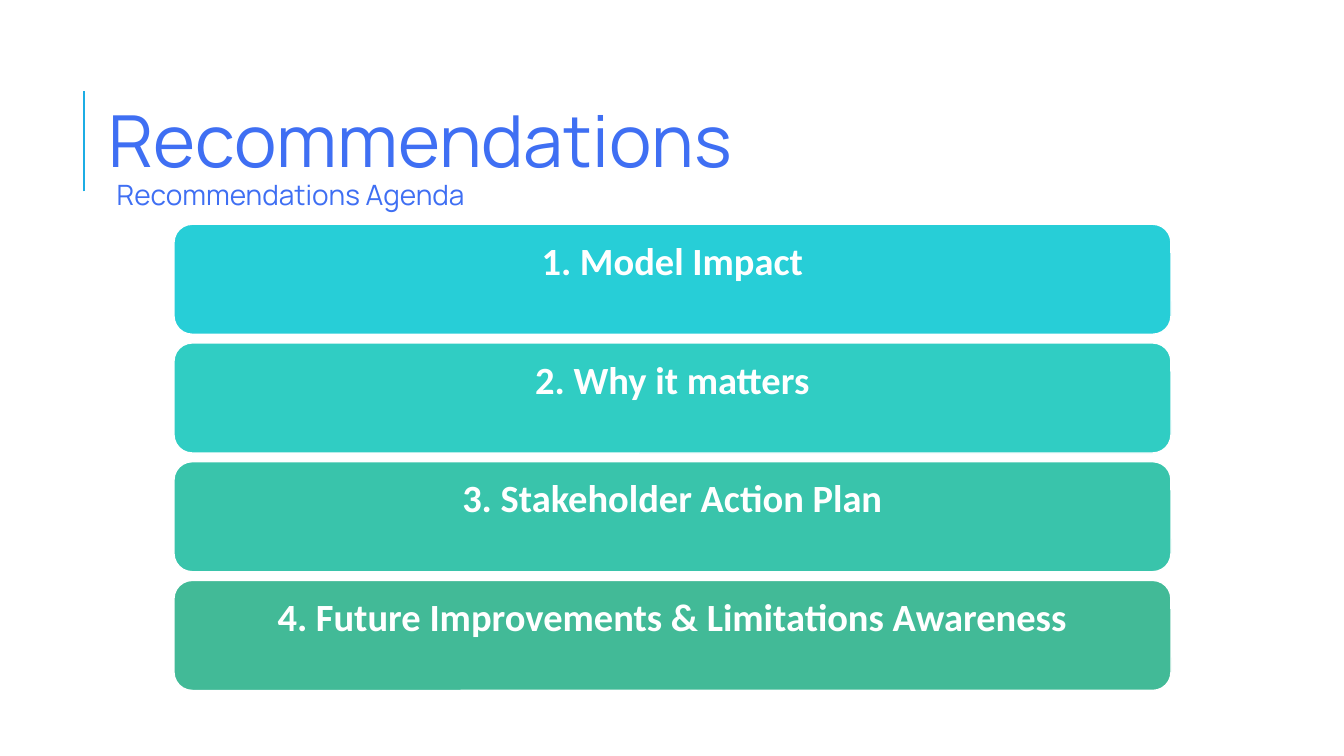
from pptx import Presentation
from pptx.dml.color import RGBColor
from pptx.enum.shapes import MSO_CONNECTOR, MSO_SHAPE
from pptx.enum.text import MSO_ANCHOR, MSO_AUTO_SIZE, PP_ALIGN
from pptx.oxml.ns import qn
from pptx.util import Cm, Pt
from lxml.etree import SubElement

BLUE = RGBColor(0x3F, 0x6F, 0xF3)
SKY = RGBColor(0x1C, 0xAD, 0xE4)
WHITE = RGBColor(0xFF, 0xFF, 0xFF)
TEAL = RGBColor(0x27, 0xCE, 0xD7)
AQUA = RGBColor(0x30, 0xCD, 0xC3)
JADE = RGBColor(0x39, 0xC4, 0xAB)
GREEN = RGBColor(0x42, 0xBA, 0x97)

TOPICS = [
    ("1. Model Impact", TEAL),
    ("2. Why it matters", AQUA),
    ("3. Stakeholder Action Plan", JADE),
    ("4. Future Improvements & Limitations Awareness", GREEN),
]


def put_text(shape, text, size, color, face="Manrope", bold=False,
             align=PP_ALIGN.LEFT, lead=None, inset=(0, 0), wrap=True):
    """Fill a shape with one formatted paragraph, set from the top."""
    frame = shape.text_frame
    frame.text = text
    frame.word_wrap = wrap
    frame.auto_size = MSO_AUTO_SIZE.NONE
    frame.vertical_anchor = MSO_ANCHOR.TOP
    frame.margin_left = frame.margin_right = Cm(inset[0])
    frame.margin_top = frame.margin_bottom = Cm(inset[1])
    para = frame.paragraphs[0]
    para.alignment = align
    para.line_spacing = lead
    font = para.runs[0].font
    font.name, font.size, font.bold = face, Pt(size), bold
    font.color.rgb = color


def add_head(slide, left, top, width):
    """Place the rule, the title and the subtitle."""
    rule = slide.shapes.add_connector(
        MSO_CONNECTOR.STRAIGHT, Cm(left), Cm(top + 3.05), Cm(left), Cm(top))
    rule.line.color.rgb = SKY
    rule.line.width = Pt(1.5)
    SubElement(rule._element.spPr, qn("a:effectLst"))

    title = slide.shapes.title
    title.left, title.top = Cm(left + 0.74), Cm(top + 0.03)
    title.width, title.height = Cm(width), Cm(2.72)
    put_text(title, "Recommendations", 61.5, BLUE, lead=Pt(77), wrap=False)

    label = slide.shapes.add_textbox(
        Cm(left + 0.74), Cm(top + 2.34), Cm(width), Cm(1.35))
    put_text(label, "Recommendations Agenda", 24, BLUE, lead=Pt(33),
             inset=(0.25, 0.13))


def add_bars(slide, left, top, width, height, gap=0.26):
    """Stack one rounded bar per topic in the given box."""
    count = len(TOPICS)
    tall = (height - gap * (count - 1)) / count
    for row, (text, fill) in enumerate(TOPICS):
        bar = slide.shapes.add_shape(
            MSO_SHAPE.ROUNDED_RECTANGLE, Cm(left),
            Cm(top + row * (tall + gap)), Cm(width), Cm(tall))
        bar.shadow.inherit = False
        bar.fill.solid()
        bar.fill.fore_color.rgb = fill
        bar.line.color.rgb = WHITE
        bar.line.width = Pt(1.25)
        put_text(bar, text, 33, WHITE, face="Calibri", bold=True,
                 align=PP_ALIGN.CENTER, lead=0.9, inset=(0.5, 0.38))


def main():
    """Build and save the agenda slide."""
    deck = Presentation()
    deck.slide_width, deck.slide_height = Cm(40.64), Cm(22.86)
    slide = deck.slides.add_slide(deck.slide_layouts.get_by_name("Title Only"))
    add_head(slide, 2.54, 2.74, 20.98)
    add_bars(slide, 5.26, 6.78, 30.15, 14.1)
    deck.save("out.pptx")


if __name__ == "__main__":
    main()
